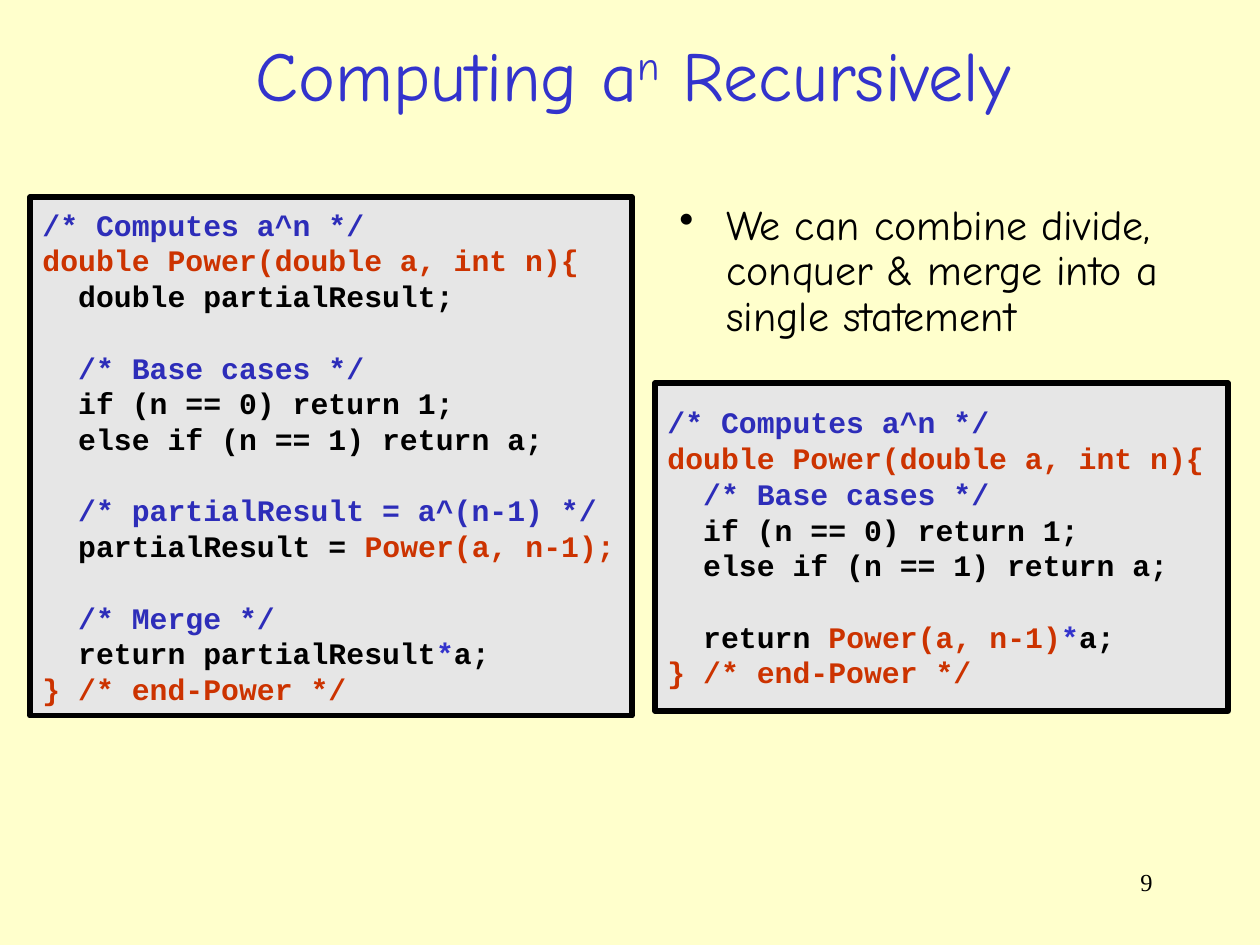
from lxml import etree
from pptx import Presentation
from pptx.dml.color import RGBColor
from pptx.enum.shapes import MSO_SHAPE
from pptx.enum.text import MSO_ANCHOR, PP_ALIGN
from pptx.oxml.ns import qn
from pptx.util import Pt

RECT = MSO_SHAPE.RECTANGLE
MIDDLE, TOP = MSO_ANCHOR.MIDDLE, MSO_ANCHOR.TOP
LEFT, CENTER, RIGHT = PP_ALIGN.LEFT, PP_ALIGN.CENTER, PP_ALIGN.RIGHT

CREAM = RGBColor(0xFF, 0xFF, 0xCC)
GRAY = RGBColor(0xE6, 0xE6, 0xE6)
BLACK = RGBColor(0, 0, 0)
BLUE = RGBColor(0x33, 0x33, 0xCC)
NAVY = RGBColor(0x2D, 0x2D, 0xB9)
RED = RGBColor(0xCC, 0x33, 0x00)

PX = 914400 // 126
HAND, MONO, SERIF = "Comic Neue", "Courier New", "Times New Roman"
CODE_SIZE = 17

# Content: each code line is a list of (text, colour) runs
TITLE = [("Computing a", 0), ("n", 30000), (" Recursively", 0)]
POINT = "We can combine divide, conquer & merge into a single statement"
PAGE = "9"

HEAD = [
    [("/* Computes a^n */", NAVY)],
    [("double Power(double a, int n){", RED)],
]
BASE = [
    [("  /* Base cases */", NAVY)],
    [("  if (n == 0) return 1;", BLACK)],
    [("  else if (n == 1) return a;", BLACK)],
    [],
]
END = [[("} /* end-Power */", RED)]]

LONG = HEAD + [
    [("  double partialResult;", BLACK)],
    [],
] + BASE + [
    [("  /* partialResult = a^(n-1) */", NAVY)],
    [("  partialResult = ", BLACK), ("Power(a, n-1);", RED)],
    [],
    [("  /* Merge */", NAVY)],
    [("  return partialResult", BLACK), ("*", BLUE), ("a;", BLACK)],
] + END
SHORT = HEAD + BASE + [
    [("  return ", BLACK), ("Power(a, n-1)", RED), ("*", BLUE), ("a;", BLACK)],
] + END

# Left, top, width, height in px
CODES = [((30, 197, 602, 519), LONG), ((655, 383, 573, 328), SHORT)]
TITLE_AT = (30, 30, 1206, 88)
POINT_AT = (667, 198, 563, 164)
PAGE_AT = (903, 861, 262, 63)


def emu(at):
    return [v * PX for v in at]


def add_run(para, text, face, size, color, bold=False):
    run = para.add_run()
    run.text = text
    font = run.font
    font.name, font.size, font.bold = face, Pt(size), bold
    font.color.rgb = color
    return run


def add_text(slide, at, align, anchor=TOP):
    frame = slide.shapes.add_textbox(*emu(at)).text_frame
    frame.word_wrap = True
    frame.vertical_anchor = anchor
    para = frame.paragraphs[0]
    para.alignment = align
    return para


def add_code(slide, at, lines):
    box = slide.shapes.add_shape(RECT, *emu(at))
    box.shadow.inherit = False
    box.fill.solid()
    box.fill.fore_color.rgb = GRAY
    box.line.color.rgb = BLACK
    box.line.width = Pt(3)
    frame = box.text_frame
    frame.word_wrap = False
    frame.vertical_anchor = MIDDLE
    for i, line in enumerate(lines):
        para = frame.add_paragraph() if i else frame.paragraphs[0]
        para.alignment = LEFT
        for text, color in line:
            add_run(para, text, MONO, CODE_SIZE, color, True)
        if not line:  # an empty code line keeps the code font's height
            end = etree.SubElement(para._p, qn("a:endParaRPr"),
                                   sz=str(CODE_SIZE * 100))
            etree.SubElement(end, qn("a:latin"), typeface=MONO)


def add_bullet(para, indent):
    props = para._p.get_or_add_pPr()
    props.set("marL", str(indent))
    props.set("indent", str(-indent))
    etree.SubElement(props, qn("a:buChar"), char="•")


def main():
    deck = Presentation()
    deck.slide_width, deck.slide_height = emu((1260, 945))
    slide = deck.slides.add_slide(deck.slide_layouts[6])
    slide.background.fill.solid()
    slide.background.fill.fore_color.rgb = CREAM

    # Page number
    add_run(add_text(slide, PAGE_AT, RIGHT), PAGE, SERIF, 14, BLACK)

    # Title with raised exponent
    para = add_text(slide, TITLE_AT, CENTER, MIDDLE)
    for text, rise in TITLE:
        run = add_run(para, text, HAND, 40, BLUE)
        if rise:
            run.font._element.set("baseline", str(rise))

    # Code boxes
    for at, lines in CODES:
        add_code(slide, at, lines)

    # Bullet point
    para = add_text(slide, POINT_AT, LEFT)
    add_bullet(para, 47 * PX)
    para.line_spacing = 0.9
    add_run(para, POINT, HAND, 24, BLACK)

    deck.save("out.pptx")


if __name__ == "__main__":
    main()
